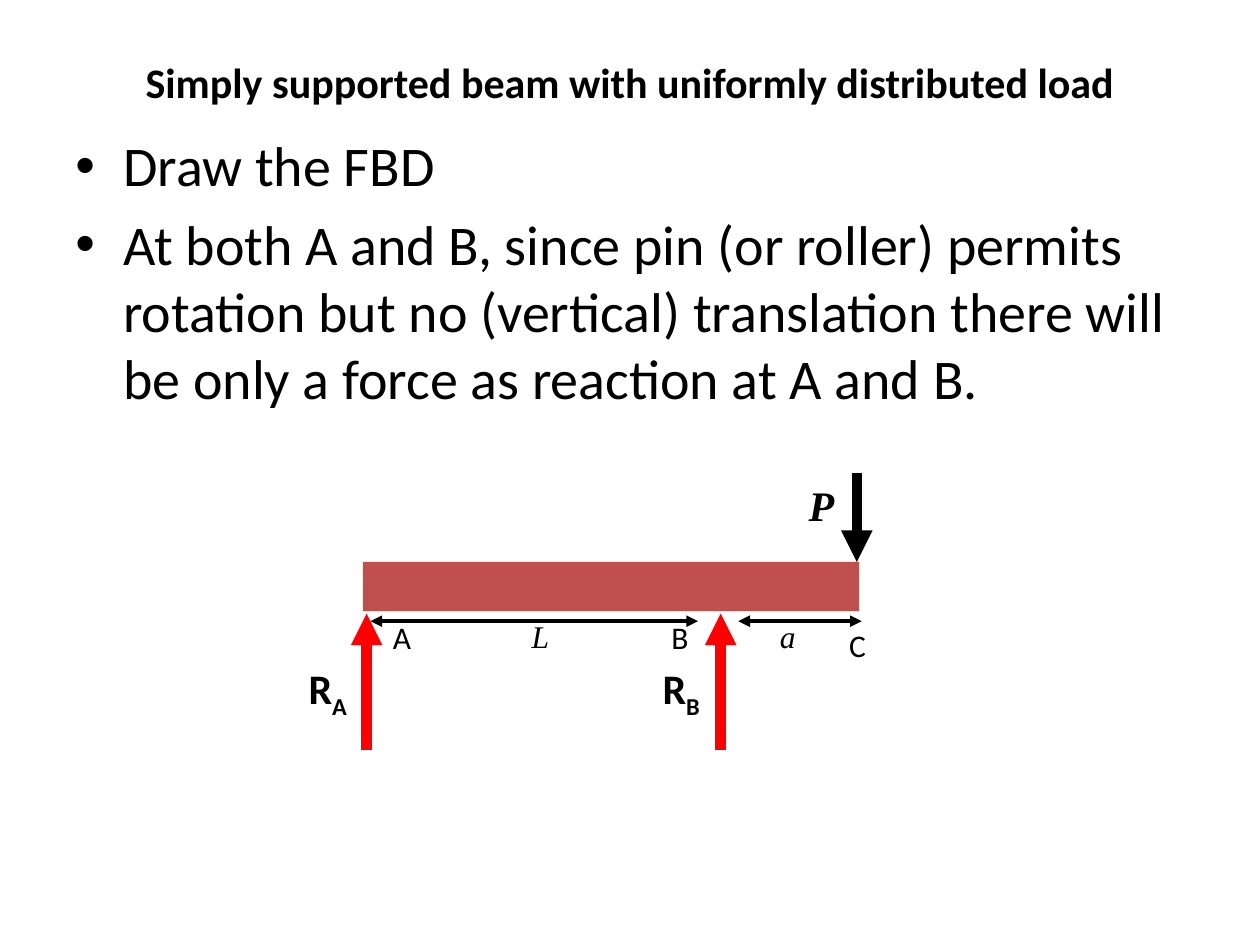
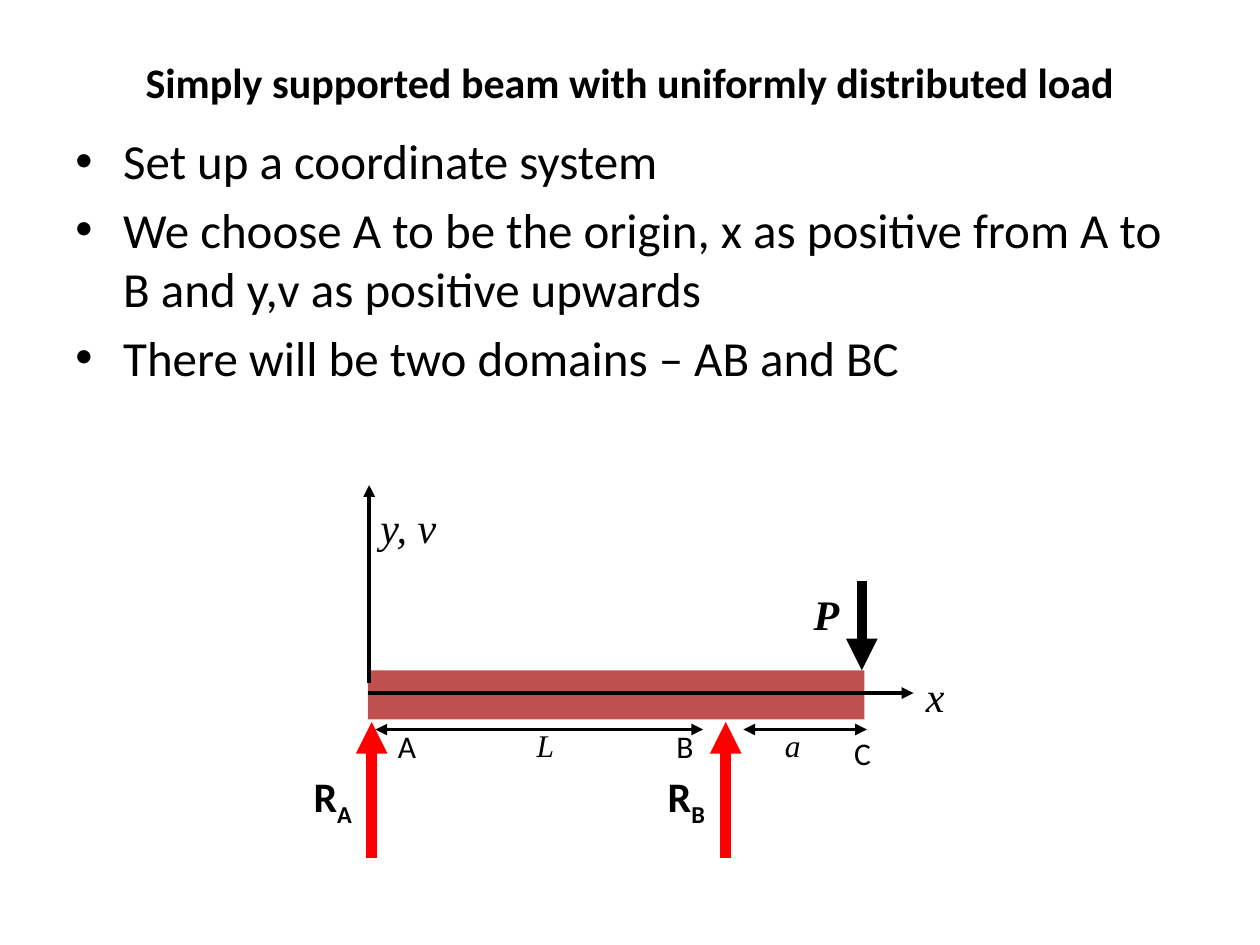
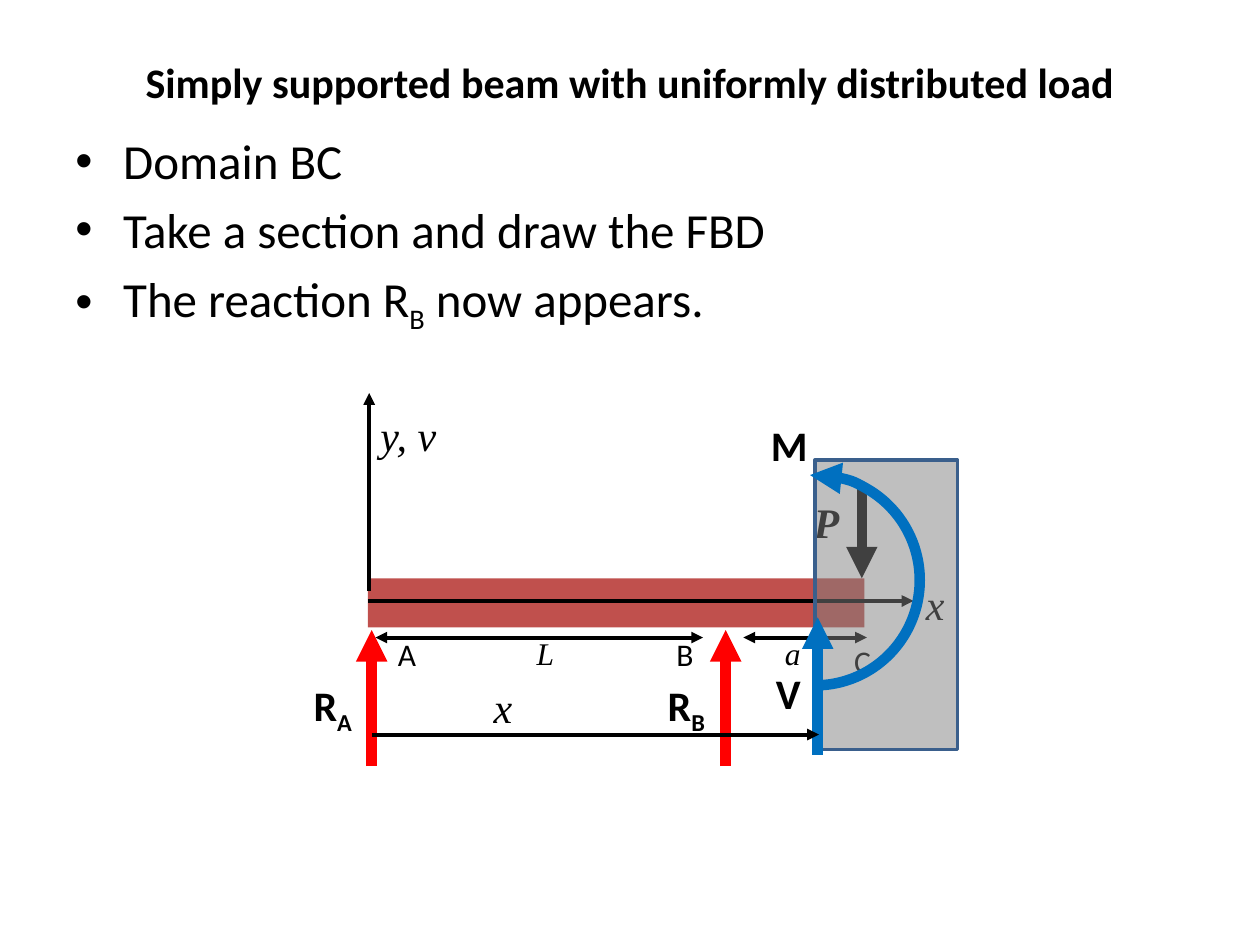
"""Build three slides on the reactions and sections of an overhanging beam."""
import pptx
import pptx.util
import pptx.dml.color
import pptx.enum.shapes
import pptx.enum.text
import pptx.oxml
import pptx.oxml.ns
from dataclasses import dataclass

Inches = pptx.util.Inches
Pt = pptx.util.Pt
Kind = pptx.enum.shapes.MSO_SHAPE


@dataclass(frozen=True)
class Theme:
    """Colours, fonts, type sizes and line widths."""
    ink: str = "000000"
    paper: str = "FFFFFF"
    beam: str = "C0504D"
    react: str = "FF0000"
    cut: str = "0070C0"
    veil: str = "808080"
    edge: str = "3A5F8C"
    sans: str = "Calibri"
    serif: str = "Times New Roman"
    big: int = 24
    small: int = 18
    thick: float = 6
    thin: float = 2.25
    rim: float = 2


T = Theme()
TITLE = "Simply supported beam with uniformly distributed load"

STYLES = {
    "force": dict(size=T.big, font=T.sans, bold=True),
    "load": dict(size=T.big, font=T.serif, bold=True, slant=True),
    "axis": dict(size=T.big, font=T.serif, slant=True),
    "point": dict(size=T.small, font=T.sans),
    "span": dict(size=T.small, font=T.serif, slant=True),
}

BEAM = (3.94, 0.39)
VEIL = (3.55, -0.94, 1.13, 2.3)
MOMENT = (2.72, -0.82, 1.66, 1.67)
SWEEP = (267.2, 91.4)

# Every place below is measured from the beam's top left corner.
FORCES = [
    ((0.03, 1.49), (0.03, 0.41), T.react, T.thick, "tail"),
    ((2.84, 1.49), (2.84, 0.41), T.react, T.thick, "tail"),
    ((3.92, -0.71), (3.92, 0), T.ink, T.thick, "tail"),
    ((0.06, 0.47), (2.66, 0.47), T.ink, T.thin, "head tail"),
    ((2.98, 0.47), (3.96, 0.47), T.ink, T.thin, "head tail"),
]
AXES = [
    ((0.01, 0.1), (0.01, -1.47), T.ink, T.thin, "tail"),
    ((0, 0.18), (4.33, 0.18), T.ink, T.thin, "tail"),
]
SHEAR = [((3.57, 1.4), (3.57, 0.31), T.cut, T.thick, "tail")]
REACH = [((0.03, 1.24), (3.58, 1.24), T.ink, T.thin, "tail")]

BEAM_TAGS = [
    ("R|A", "force", -0.53, 0.75, 0.59),
    ("R|B", "force", 2.28, 0.75, 0.59),
    ("A", "point", 0.14, 0.4, 0.39),
    ("B", "point", 2.35, 0.4, 0.39),
    ("C", "point", 3.76, 0.46, 0.39),
    ("L", "span", 1.24, 0.39, 0.39),
    ("a", "span", 3.21, 0.39, 0.39),
    ("P", "load", 3.44, -0.7, 0.45),
]
AXIS_TAGS = [
    ("y, v", "axis", 0, -1.39, 0.79),
    ("x", "axis", 4.33, -0.05, 0.39),
]
CUT_TAGS = [
    ("V", "force", 3.14, 0.66, 0.59),
    ("M", "force", 3.1, -1.31, 0.63),
    ("x", "axis", 0.9, 0.77, 0.39),
]

SLIDES = [
    dict(size=32, beam=(2.88, 4.46), parts=[], points=[
        "Draw the FBD",
        "At both A and B, since pin (or roller) permits rotation but no "
        "(vertical) translation there will be only a force as reaction at A and B.",
    ]),
    dict(size=28, beam=(2.92, 5.32), parts=["axes"], points=[
        "Set up a coordinate system",
        "We choose A to be the origin, x as positive from A to B and y,v "
        "as positive upwards",
        "There will be two domains – AB and BC",
    ]),
    dict(size=28, beam=(2.92, 4.59), parts=["axes", "cut"], points=[
        "Domain BC",
        "Take a section and draw the FBD",
        "The reaction R|B| now appears.",
    ]),
]


def rgb(code):
    """Return the colour for a hex code."""
    return pptx.dml.color.RGBColor.from_string(code)


def node(root, tag, **attrs):
    """Append a drawing element to root."""
    item = pptx.oxml.parse_xml(f"<a:{tag} {pptx.oxml.ns.nsdecls('a')}/>")
    for key, val in attrs.items():
        item.set(key, val)
    root.append(item)
    return item


def write(para, text, size, font, bold=False, slant=False):
    """Add runs to para; every second part between bars is a subscript."""
    for num, part in enumerate(text.split("|")):
        run = para.add_run()
        run.text = part
        face = run.font
        face.size, face.name = Pt(size), font
        face.bold, face.italic = bold, slant
        face.color.rgb = rgb(T.ink)
        if num % 2:
            run._r.get_or_add_rPr().set("baseline", "-25000")


def box(slide, left, top, wide, high):
    """Add a wrapping text box and return its frame."""
    frame = slide.shapes.add_textbox(*map(Inches, (left, top, wide, high))).text_frame
    frame.word_wrap = True
    return frame


def stroke(shape, color, width, ends=""):
    """Set the line of a shape and its arrowheads."""
    shape.line.color.rgb = rgb(color)
    shape.line.width = Pt(width)
    for end in ends.split():
        node(shape.line._get_or_add_ln(), end + "End", type="triangle")


def block(slide, kind, left, top, wide, high):
    """Add a preset shape without a shadow."""
    shape = slide.shapes.add_shape(kind, *map(Inches, (left, top, wide, high)))
    shape.shadow.inherit = False
    return shape


class Sketch:
    """The beam diagram of one slide."""

    def __init__(self, slide, left, top):
        self.slide, self.left, self.top = slide, left, top

    def at(self, left, top, *size):
        """Shift a place by the beam's corner."""
        return (self.left + left, self.top + top, *size)

    def lines(self, rows):
        """Draw arrows."""
        for start, end, color, width, ends in rows:
            spots = map(Inches, self.at(*start) + self.at(*end))
            link = self.slide.shapes.add_connector(
                pptx.enum.shapes.MSO_CONNECTOR.STRAIGHT, *spots)
            stroke(link, color, width, ends)
            node(link._element.spPr, "effectLst")

    def tags(self, rows):
        """Write labels."""
        for text, style, left, top, wide in rows:
            frame = box(self.slide, *self.at(left, top, wide, 0.5))
            write(frame.paragraphs[0], text, **STYLES[style])

    def base(self):
        """Draw the beam with its loads."""
        beam = block(self.slide, Kind.RECTANGLE, *self.at(0, 0, *BEAM))
        beam.fill.solid()
        beam.fill.fore_color.rgb = rgb(T.beam)
        beam.line.fill.background()
        self.lines(FORCES)
        self.tags(BEAM_TAGS)

    def axes(self):
        """Draw the coordinate axes."""
        self.lines(AXES)
        self.tags(AXIS_TAGS)

    def cut(self):
        """Veil the removed part and draw the section's shear and moment."""
        veil = block(self.slide, Kind.RECTANGLE, *self.at(*VEIL))
        veil.fill.solid()
        veil.fill.fore_color.rgb = rgb(T.veil)
        tint = veil._element.spPr.find(".//" + pptx.oxml.ns.qn("a:srgbClr"))
        node(tint, "alpha", val="50000")
        stroke(veil, T.edge, T.rim)
        self.lines(SHEAR)
        arc = block(self.slide, Kind.ARC, *self.at(*MOMENT))
        for num, angle in enumerate(SWEEP):
            arc.adjustments[num] = angle * 0.6
        arc.fill.background()
        stroke(arc, T.cut, T.thick, "head")
        self.tags(CUT_TAGS)
        self.lines(REACH)


def head(slide):
    """Place and write the title."""
    title = slide.shapes.title
    title.left, title.top, title.width, title.height = map(Inches, (0.5, 0.3, 9, 0.69))
    title.text_frame.vertical_anchor = pptx.enum.text.MSO_ANCHOR.MIDDLE
    para = title.text_frame.paragraphs[0]
    para.alignment = pptx.enum.text.PP_ALIGN.CENTER
    write(para, TITLE, T.big, T.sans, bold=True)


def body(slide, points, size):
    """Write the bulleted points."""
    frame = box(slide, 0.5, 0.99, 9, 5.71)
    for num, text in enumerate(points):
        para = frame.add_paragraph() if num else frame.paragraphs[0]
        props = para._p.get_or_add_pPr()
        props.set("marL", str(Inches(0.38)))
        props.set("indent", str(Inches(-0.38)))
        node(props, "buFont", typeface="Arial")
        node(props, "buChar", char="•")
        if num:
            para.space_before = Pt(size * 0.2)
        write(para, text, size, T.sans)


def main():
    """Build and save the deck."""
    deck = pptx.Presentation()
    deck.slide_width, deck.slide_height = Inches(10), Inches(7.5)
    for page in SLIDES:
        slide = deck.slides.add_slide(deck.slide_layouts[5])
        head(slide)
        body(slide, page["points"], page["size"])
        sketch = Sketch(slide, *page["beam"])
        sketch.base()
        if "axes" in page["parts"]:
            sketch.axes()
        if "cut" in page["parts"]:
            sketch.cut()
    deck.save("out.pptx")


if __name__ == "__main__":
    main()
